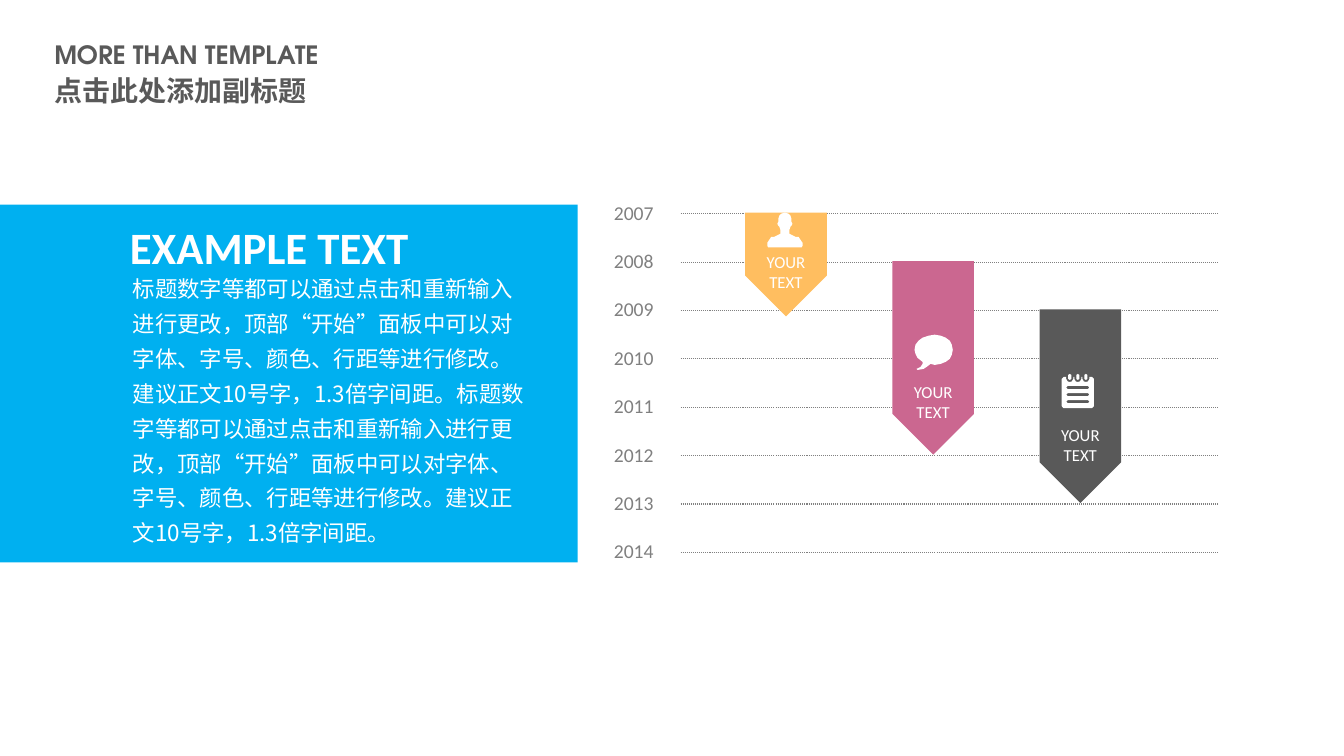
from lxml import etree
from pptx import Presentation
from pptx.dml.color import RGBColor
from pptx.enum import dml, shapes, text
from pptx.oxml import ns
from pptx.util import Inches, Pt

COLORS = {"blue": "00B0F0", "orange": "FFBE60", "pink": "CB6790",
          "dark": "595959", "grey": "808080", "white": "FFFFFF"}
LATIN, CHINESE, HEADING = "Calibri", "Noto Sans CJK SC", "TeX Gyre Adventor"
YEARS = range(2007, 2015)
YEAR_STEP = 0.48
BODY = ("标题数字等都可以通过点击和重新输入进行更改，顶部“开始”面板中可以对字体、字号、"
        "颜色、行距等进行修改。建议正文10号字，1.3倍字间距。") * 2

# Icon outlines, in hundredths of an inch from the icon's top left corner
BUBBLE = [[(20, 0), (26, 1), (31, 3), (35, 6), (37, 10), (38, 15), (37, 20),
           (35, 24), (31, 27), (26, 29), (20, 30), (16, 29), (12, 32), (9, 34),
           (3, 35), (2, 34), (6, 32), (8, 29), (8, 27), (3, 23), (1, 19),
           (0, 15), (1, 10), (4, 6), (8, 3), (14, 1)]]
PERSON_RIGHT = [(17.5, 0), (21, 1), (23, 3), (24, 6), (24, 9), (25, 11), (24, 13),
                (23, 14), (22, 17), (22, 21), (24, 22), (28, 24), (31, 24),
                (33, 27), (35, 30), (35, 33), (34, 34.5)]
PERSON = [PERSON_RIGHT + [(35 - x, y) for x, y in PERSON_RIGHT[:0:-1]]]


def notepad():
    page, rings = [(0, 5), (2, 3)], []
    for x in (8, 16, 24):
        page += [(x - 3.5, 3), (x - 3.5, 5), (x - 2, 7.5), (x, 8),
                 (x + 2, 7.5), (x + 3.5, 5), (x + 3.5, 3)]
        rings.append([(x, 0), (x + 1.5, 1), (x + 1.5, 5), (x, 6), (x - 1.5, 5), (x - 1.5, 1)])
    page += [(30, 3), (32, 5), (32, 32), (30, 34), (2, 34), (0, 32)]
    bars = [[(6, y), (4.5, y + 1.5), (6, y + 3), (26, y + 3), (27.5, y + 1.5), (26, y)]
            for y in (12, 19, 26)]
    return [page] + bars + rings


def paint(sp, color):
    sp.fill.solid()
    sp.fill.fore_color.rgb = RGBColor.from_string(COLORS[color])
    sp.line.fill.background()
    sp.shadow.inherit = False


def add_text(s, box, lines, color, bold=None, wrap=True, spacing=None,
             align=None, anchor=text.MSO_ANCHOR.TOP):
    """Each line is (wording, font name, size)."""
    tf = s.shapes.add_textbox(*map(Inches, box)).text_frame
    tf.word_wrap = wrap
    tf.auto_size = text.MSO_AUTO_SIZE.SHAPE_TO_FIT_TEXT
    tf.vertical_anchor = anchor
    for i, (wording, name, size) in enumerate(lines):
        p = tf.add_paragraph() if i else tf.paragraphs[0]
        p.text = wording
        p.alignment, p.line_spacing = align, spacing
        font = p.font
        font.name, font.size, font.bold = name, Pt(size), bold
        font.color.rgb = RGBColor.from_string(COLORS[color])
        if name == CHINESE:
            latin = font._element.find(ns.qn("a:latin"))
            ea = etree.Element(ns.qn("a:ea"), typeface=name)
            latin.addnext(ea)


def add_icon(s, left, top, outlines):
    def place(points):
        return [(Inches(left + x / 100), Inches(top + y / 100)) for x, y in points]

    first, *others = map(place, outlines)
    builder = s.shapes.build_freeform(*first[0], scale=1.0)
    builder.add_line_segments(first[1:], close=True)
    for points in others:
        builder.move_to(*points[0])
        builder.add_line_segments(points[1:], close=True)
    paint(builder.convert_to_shape(), "white")


def add_title(s, left, top, width, height):
    add_text(s, (left, top, width, height),
             [("MORE THAN TEMPLATE", HEADING, 18), ("点击此处添加副标题", CHINESE, 20)],
             "dark", bold=True, spacing=1.1, anchor=text.MSO_ANCHOR.MIDDLE)


def add_example_panel(s, left, top, width, height):
    panel = s.shapes.add_shape(shapes.MSO_SHAPE.RECTANGLE,
                               *map(Inches, (left, top, width, height)))
    paint(panel, "blue")
    add_text(s, (left + 1.22, top + 0.57, 4.13, 2.9), [(BODY, CHINESE, 16)],
             "white", spacing=1.3)
    add_text(s, (left + 1.19, top - 0.17, 2.99, 0.91), [("EXAMPLE TEXT", LATIN, 32)],
             "white", bold=True, wrap=False, spacing=1.5)


def add_marker(s, left, top, width, height, color, icon, icon_dy, text_dy):
    # The pentagon is turned to point down, so its sides are swapped
    arrow = s.shapes.add_shape(
        shapes.MSO_SHAPE.PENTAGON, Inches(left + (width - height) / 2),
        Inches(top + (height - width) / 2), Inches(height), Inches(width))
    arrow.rotation = 90
    paint(arrow, color)
    add_icon(s, left + 0.22, top + icon_dy, icon)
    add_text(s, (left, top + text_dy, width, 0.5), [("YOUR TEXT", LATIN, 12)],
             "white", align=text.PP_ALIGN.CENTER)


def add_timeline(s, left, top, width):
    # Years and dotted lines
    for i, year in enumerate(YEARS):
        y = top + i * YEAR_STEP
        add_text(s, (left, y - 0.18, 0.73, 0.38), [(str(year), LATIN, 14)],
                 "grey", wrap=False)
        rule = s.shapes.add_connector(shapes.MSO_CONNECTOR.STRAIGHT, Inches(left + 0.76),
                                      Inches(y), Inches(left + width), Inches(y))
        rule.line.color.rgb = RGBColor.from_string(COLORS["grey"])
        rule.line.width = Pt(0.75)
        rule.line.dash_style = dml.MSO_LINE.ROUND_DOT
        etree.SubElement(rule._element.spPr, ns.qn("a:effectLst"))

    # Markers, each hanging from its year
    markers = [(1.03, "orange", PERSON, 0, 0.34),
               (1.92, "pink", BUBBLE, 0.73, 1.15),
               (1.92, "dark", notepad(), 0.64, 1.09)]
    for i, (height, *details) in enumerate(markers):
        add_marker(s, left + 1.4 + i * 1.46, top - 0.01 + i * YEAR_STEP,
                   0.81, height, *details)


def main():
    prs = Presentation()
    prs.slide_width, prs.slide_height = Inches(13.33), Inches(7.5)
    s = prs.slides.add_slide(prs.slide_layouts[6])
    add_example_panel(s, 0, 2.03, 5.73, 3.55)
    add_timeline(s, 5.99, 2.12, 6.1)
    add_title(s, 0.44, 0.31, 3.34, 0.8)
    prs.save("out.pptx")


if __name__ == "__main__":
    main()
